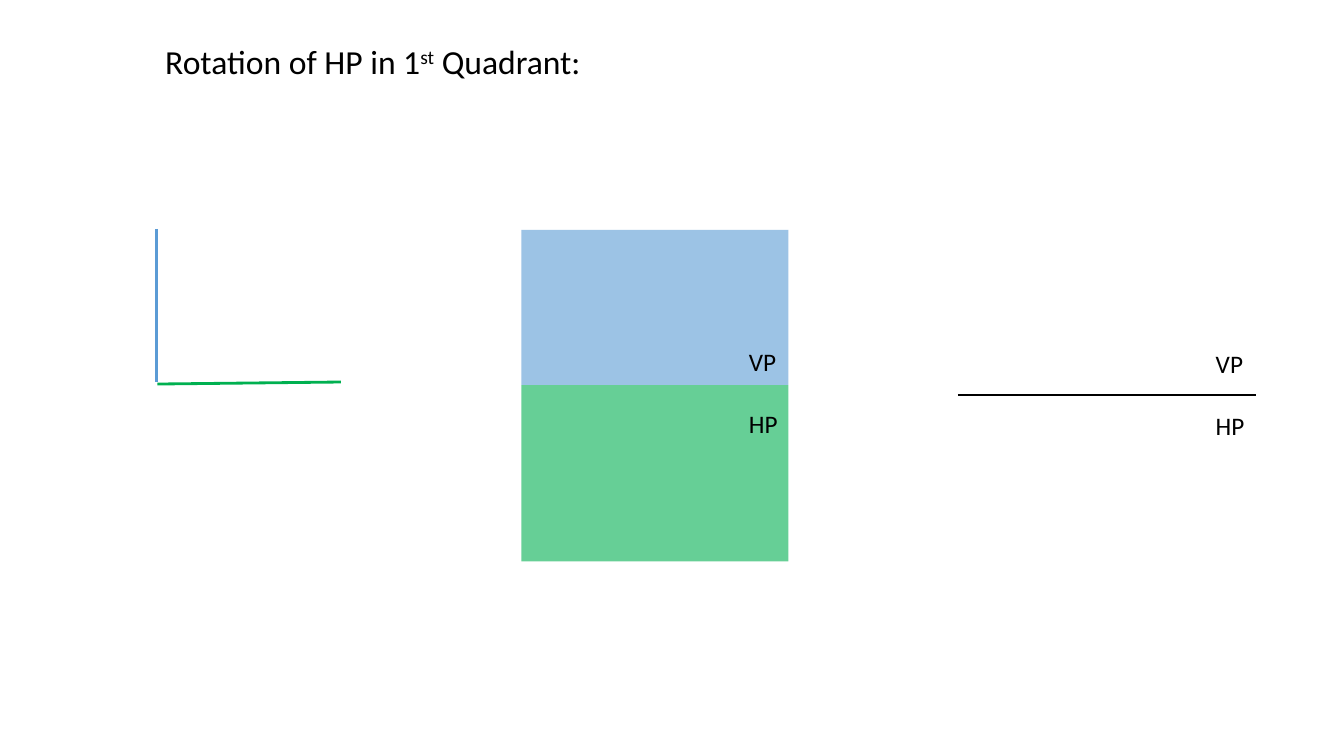
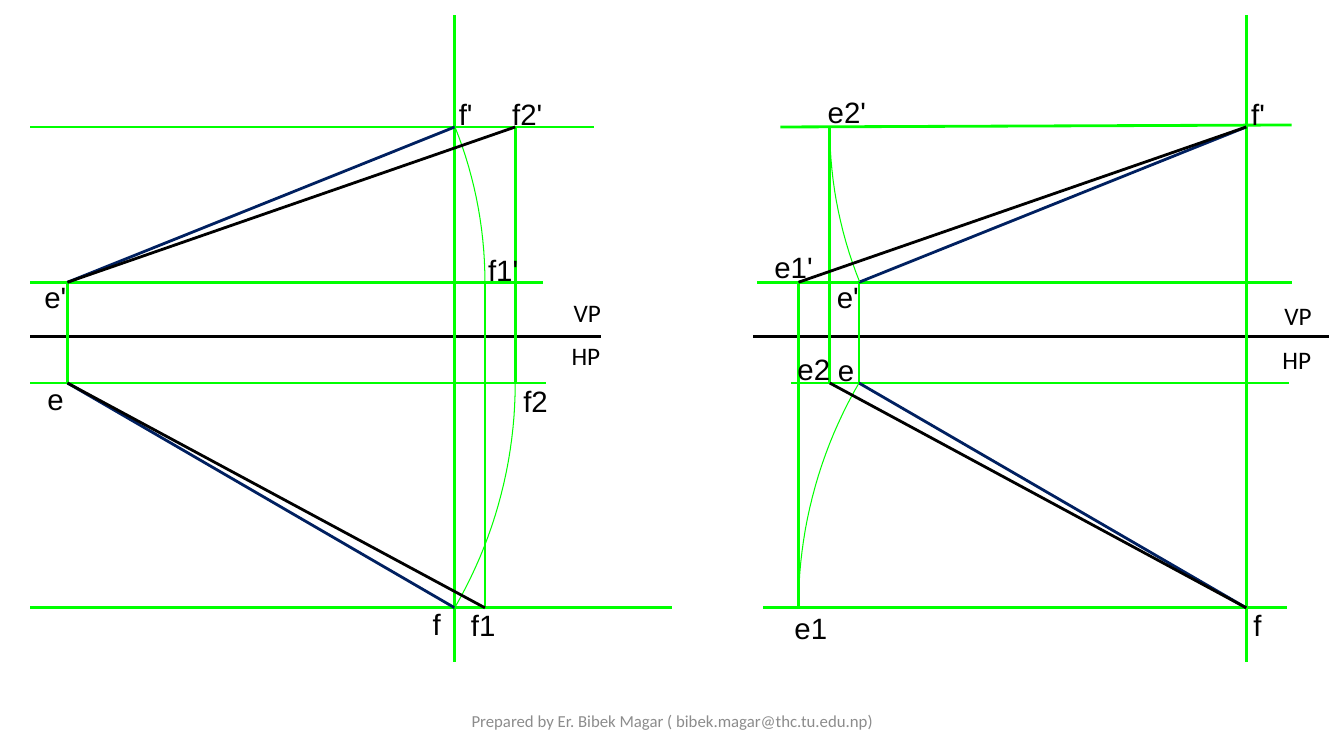
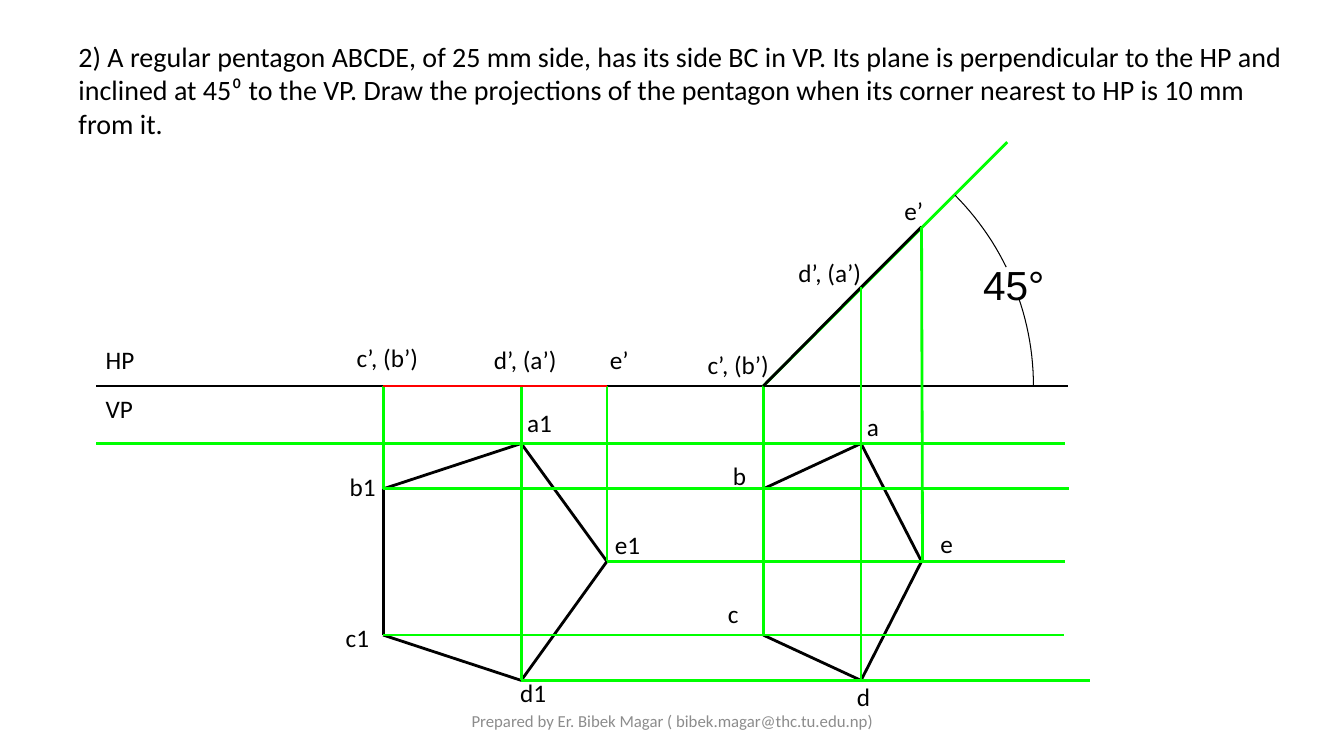
"""Build three slides on orthographic projection of lines and planes."""
from math import atan2, cos, hypot, remainder, sin, tau

from lxml.etree import SubElement
from pptx import Presentation
from pptx.dml.color import RGBColor
from pptx.enum.shapes import MSO_CONNECTOR as Link, MSO_SHAPE as Shape
from pptx.enum.text import MSO_ANCHOR as Anchor, MSO_AUTO_SIZE as Fit, PP_ALIGN as Align
from pptx.oxml.ns import qn
from pptx.util import Inches, Pt

BLACK, GREEN, NAVY, RED = "000000", "00FF00", "002060", "FF0000"
VP_BLUE, HP_GREEN, FOOTER_GREY = "5B9BD5", "00B050", "8C8C8C"
FOOTER = "Prepared by Er. Bibek Magar ( bibek.magar@thc.tu.edu.np)"


def rgb(value):
    """Turn a hex string into a colour."""
    return RGBColor.from_string(value)


def write(frame, text, size=18, font="Calibri", color=BLACK, align=None):
    """Write one paragraph; pieces between ^ marks are superscript."""
    paragraph = frame.paragraphs[0]
    if align is not None:
        paragraph.alignment = align
    for index, piece in enumerate(text.split("^")):
        run = paragraph.add_run()
        run.text = piece
        run.font.size, run.font.name = Pt(size), font
        run.font.color.rgb = rgb(color)
        if index % 2:
            run._r.get_or_add_rPr().set("baseline", "30000")


class Sheet:
    """Hold the presentation, the drawing style and the current slide."""

    def __init__(self):
        """Open an empty widescreen presentation."""
        self.deck = Presentation()
        self.deck.slide_width, self.deck.slide_height = Inches(13.33), Inches(7.5)

    def new_slide(self, footer=True):
        """Start a blank slide."""
        self.slide = self.deck.slides.add_slide(self.deck.slide_layouts[6])
        if footer:
            self.text(FOOTER, 4.42, 6.95, 4.5, grow=False, anchor=Anchor.MIDDLE,
                      size=12, color=FOOTER_GREY, align=Align.CENTER)

    def text(self, text, x, y, width, height=0.4, grow=True, anchor=Anchor.TOP, **style):
        """Add a wrapping text box."""
        frame = self.slide.shapes.add_textbox(*map(Inches, (x, y, width, height))).text_frame
        frame.word_wrap, frame.vertical_anchor = True, anchor
        frame.auto_size = Fit.SHAPE_TO_FIT_TEXT if grow else Fit.NONE
        write(frame, text, **style)
        return frame

    def mark(self, text, x, y, width, height=0.41, size=21):
        """Add a tight drawing label without margins."""
        frame = self.text(text, x, y, width, height, size=size, font="Arial")
        frame.word_wrap = False
        frame.margin_left = frame.margin_top = frame.margin_right = frame.margin_bottom = 0

    def plane(self, x, y, width, height, color):
        """Add a translucent plane."""
        plane = self.slide.shapes.add_shape(Shape.RECTANGLE, *map(Inches, (x, y, width, height)))
        plane.shadow.inherit = False
        plane.line.fill.background()
        plane.fill.solid()
        plane.fill.fore_color.rgb = rgb(color)
        shade = plane._element.spPr.find(qn("a:solidFill"))[0]
        SubElement(shade, qn("a:alpha")).set("val", "60000")

    def line(self, start, end, color=GREEN, width=0):
        """Draw a straight line."""
        line = self.slide.shapes.add_connector(Link.STRAIGHT, *map(Inches, (*start, *end)))
        line.line.color.rgb, line.line.width = rgb(color), Pt(width)
        SubElement(line._element.spPr, qn("a:effectLst"))

    def outline(self, corners, color=BLACK):
        """Draw a closed figure edge by edge."""
        for start, end in zip(corners, corners[1:] + corners[:1]):
            self.line(start, end, color)

    def arc(self, center, start, end, color=GREEN, steps=21):
        """Draw an arc about a center between two points."""
        (cx, cy), (sx, sy), (ex, ey) = center, start, end
        radius, first = hypot(sx - cx, sy - cy), atan2(sy - cy, sx - cx)
        sweep = remainder(atan2(ey - cy, ex - cx) - first, tau)
        angles = [first + sweep * step / steps for step in range(steps + 1)]
        points = [(Inches(cx + radius * cos(a)), Inches(cy + radius * sin(a))) for a in angles]
        builder = self.slide.shapes.build_freeform(*points[0])
        builder.add_line_segments(points[1:], close=False)
        arc = builder.convert_to_shape()
        arc.shadow.inherit = False
        arc.fill.background()
        arc.line.color.rgb, arc.line.width = rgb(color), Pt(0)


def rotation(sheet):
    """Show the horizontal plane turning in the first quadrant."""
    sheet.new_slide(footer=False)
    sheet.line((1.55, 2.27), (1.55, 3.79), VP_BLUE, 2)
    sheet.line((1.56, 3.81), (3.38, 3.79), HP_GREEN, 2)
    sheet.plane(5.17, 2.28, 2.65, 1.54, VP_BLUE)
    sheet.plane(5.17, 3.82, 2.65, 1.75, HP_GREEN)
    sheet.line((9.5, 3.92), (12.46, 3.92), BLACK, 1.5)
    for x, y in ((11.96, 3.41), (7.33, 3.39)):
        sheet.text("VP", x, y, 1)
        sheet.text("HP", x, y + 0.61, 1)
    sheet.text("Rotation of HP in 1^st^ Quadrant:", 1.54, 0.36, 5.62, 0.5, size=24)


def inclined_line(sheet):
    """Find the true length of line ef by rotating either end."""
    sheet.new_slide()
    front_f, front_e, top_e, top_f = 1.26, 2.8, 3.8, 6.03
    views = (
        (0.67, 4.51, 0.67, 4.51, 4.81, 5.11, 1,
         ((3.34, 0.3, 5.96), (top_f, 0.3, 6.67), (front_f, 0.3, 5.89),
          (top_e, 0.3, 5.42), (front_e, 0.3, 5.39))),
        (8.52, 12.36, 12.36, 8.52, 7.92, 8.23, -1,
         ((3.34, 7.47, 13.18), (top_f, 7.57, 12.76), (front_f, 7.74, 12.81),
          (top_e, 7.85, 12.78), (front_e, 7.51, 12.81))),
    )
    for e, f, fixed, moving, first, second, side, levels in views:
        for y, left, right in levels:
            rise = 0.02 if side < 0 and y == front_f else 0
            sheet.line((left, y), (right, y - rise), BLACK if y == 3.34 else GREEN)
        sheet.line((e, front_e), (e, top_e))
        sheet.line((f, 0.15), (f, 6.57))
        sheet.line((e, front_e), (f, front_f), NAVY)
        sheet.line((e, top_e), (f, top_f), NAVY)
        near, far = (front_e, front_f) if side > 0 else (front_f, front_e)
        base, tip = (top_e, top_f) if side > 0 else (top_f, top_e)
        front_turn, top_turn = (first, second) if side > 0 else (second, first)
        sheet.arc((fixed, base), (moving, tip), (top_turn, base))
        sheet.arc((fixed, near), (front_turn, near), (moving, far), steps=15)
        sheet.line((second, top_e), (second, front_f))
        sheet.line((first, front_e), (first, top_f))
        sheet.line((fixed, near), (top_turn, far), BLACK)
        sheet.line((fixed, base), (front_turn, tip), BLACK)
    for name, x, y, width in (
            ("e'", 0.44, 2.77, 0.36), ("f'", 4.55, 0.95, 0.28), ("f2'", 5.08, 0.95, 0.45),
            ("e", 0.47, 3.78, 0.31), ("f", 4.29, 6.01, 0.22), ("f1", 4.67, 6.02, 0.39),
            ("f2", 5.19, 3.8, 0.39), ("f1'", 4.84, 2.5, 0.45), ("e'", 8.3, 2.77, 0.36),
            ("e", 8.31, 3.49, 0.31), ("f'", 12.41, 0.95, 0.28), ("f", 12.43, 6.02, 0.22),
            ("e2", 7.91, 3.48, 0.47), ("e1'", 7.68, 2.47, 0.53), ("e1", 7.88, 6.05, 0.47),
            ("e2'", 8.21, 0.93, 0.53)):
        sheet.mark(name, x, y, width)
    for name, x, y in (("VP", 5.59, 2.9), ("HP", 5.57, 3.33),
                       ("VP", 12.64, 2.93), ("HP", 12.62, 3.37)):
        sheet.text(name, x, y, 0.51)


def pentagon(sheet):
    """Project a pentagon whose plane is inclined to VP."""
    sheet.new_slide()
    sheet.text("2) A regular pentagon ABCDE, of 25 mm side, has its side BC in VP. Its plane is "
               "perpendicular to the HP and inclined at 45⁰ to the VP. Draw the projections of "
               "the pentagon when its corner nearest to HP is 10 mm from it.",
               0.68, 0.34, 12.15, 1.11, size=20)
    ground, a_y, b_y, e_y, c_y, d_y = 3.83, 4.4, 4.85, 5.57, 6.3, 6.75
    for bc, ad, e in ((3.8, 5.17, 6.02), (7.57, 8.54, 9.14)):
        sheet.outline([(ad, a_y), (bc, b_y), (bc, c_y), (ad, d_y), (e, e_y)])
    sheet.line((10.59, ground), (0.95, ground), BLACK)
    for x, bottom in ((3.8, b_y), (5.17, d_y), (6.02, e_y)):
        sheet.line((x, bottom), (x, ground))
    for y, left, right in ((a_y, 5.17, 0.95), (a_y, 5.17, 10.56), (e_y, 6.02, 10.56),
                           (d_y, 5.17, 10.81), (b_y, 3.8, 10.6), (c_y, 3.8, 10.55)):
        sheet.line((left, y), (right, y))
    sheet.line((3.8, ground), (6.02, ground), RED)
    hinge, front_d, front_e = (7.57, ground), (8.54, 2.85), (9.14, 2.25)
    sheet.line(hinge, (9.99, 1.41))
    sheet.line(hinge, (7.57, c_y))
    sheet.line(hinge, front_d, BLACK)
    sheet.line(front_d, front_e, BLACK)
    sheet.line(front_d, (8.54, d_y))
    sheet.line(front_e, (9.15, e_y))
    sheet.arc(hinge, (10.25, 3.82), (10.11, 2.95), BLACK, 12)
    sheet.arc(hinge, (9.98, 2.65), (9.47, 1.94), BLACK, 12)
    sheet.mark("45°", 9.75, 2.58, 0.82, 0.55, size=29)
    for name, x, y, width in (
            ("VP", 0.95, 3.85, 0.64), ("HP", 0.95, 3.37, 0.64), ("a1", 5.13, 3.99, 0.64),
            ("b1", 3.37, 4.63, 0.55), ("c1", 3.33, 6.12, 0.58), ("d1", 5.06, 6.67, 0.58),
            ("e1", 6, 5.2, 0.62), ("c’, (b’)", 3.44, 3.35, 1.1), ("d’, (a’)", 4.8, 3.37, 1.1),
            ("e’", 5.95, 3.37, 0.55), ("a", 8.5, 4.03, 0.64), ("b", 7.17, 4.52, 0.64),
            ("c", 7.12, 5.89, 0.64), ("d", 8.4, 6.71, 0.64), ("e", 9.23, 5.19, 0.64),
            ("c’, (b’)", 6.92, 3.42, 1.1), ("d’, (a’)", 7.82, 2.5, 1.1),
            ("e’", 8.87, 1.89, 0.55)):
        sheet.text(name, x, y, width)


def main():
    """Draw every slide and save the file."""
    sheet = Sheet()
    for draw in (rotation, inclined_line, pentagon):
        draw(sheet)
    sheet.deck.save("out.pptx")


if __name__ == "__main__":
    main()
